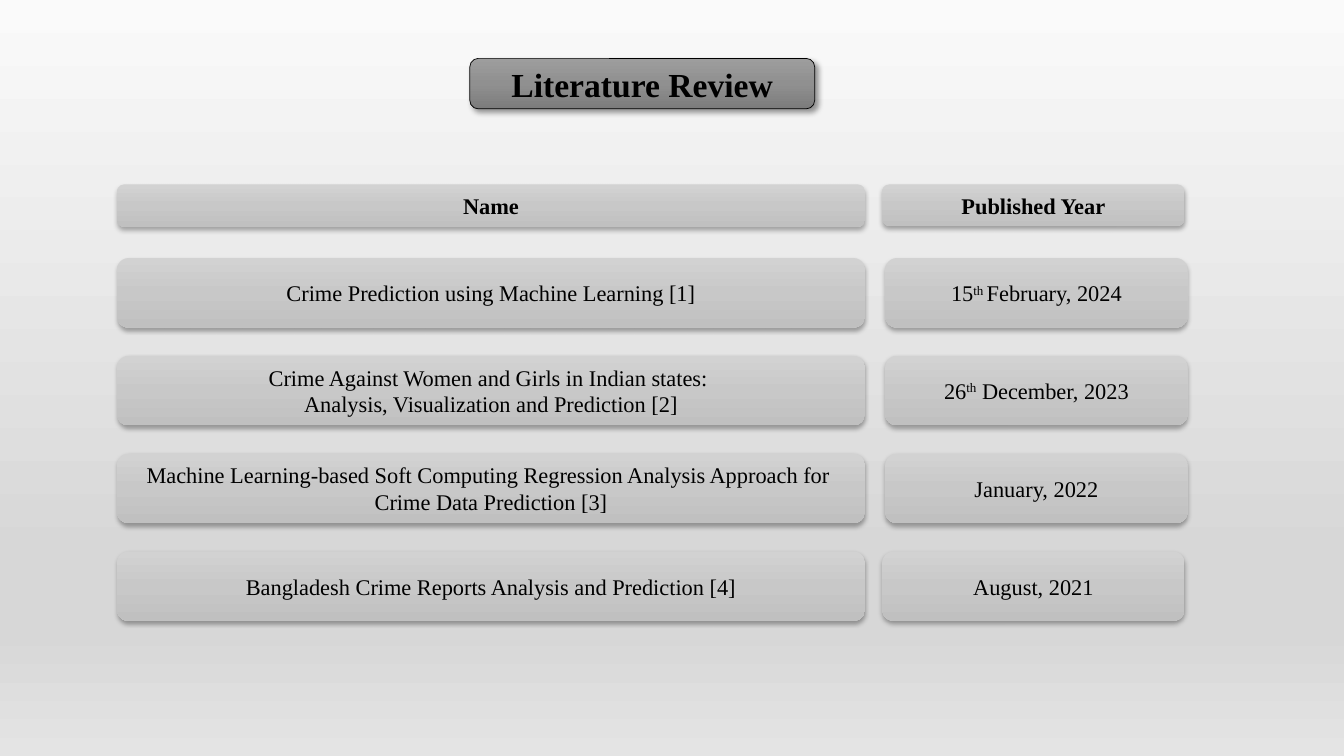
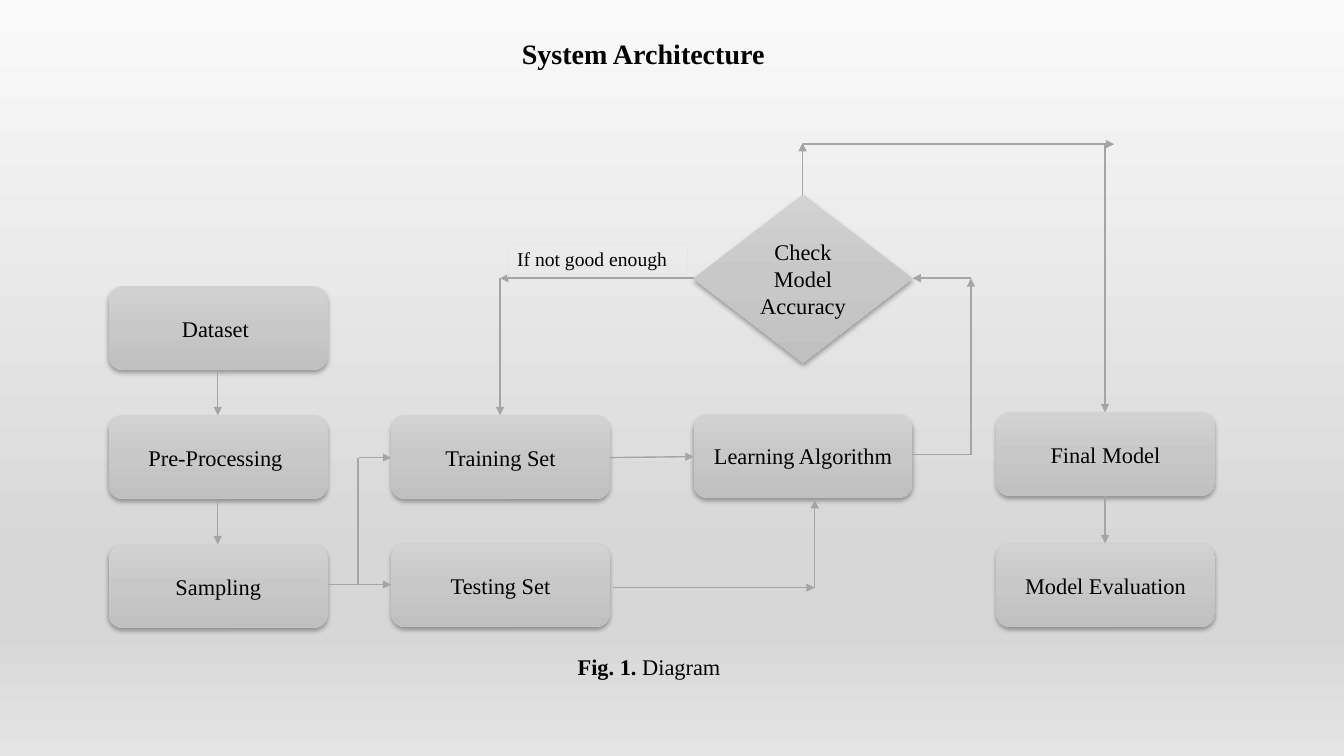
"""Build the literature review and system architecture slides."""
from pptx import Presentation
from pptx import util as u
from pptx.dml.color import RGBColor
from pptx.enum import shapes, text
from pptx.oxml import ns, xmlchemy


class Theme:
    font = "Times New Roman"
    ink = RGBColor.from_string("000000")
    wire = RGBColor.from_string("A5A5A5")
    frame = RGBColor.from_string("E7E6E6")
    back = [(0, "FAFAFA"), (74, "D7D7D7"), (83, "D7D7D7"), (100, "E4E4E4")]
    dark = [(0, "9D9D9D"), (50, "909090"), (100, "7C7C7C")]
    light = [(0, "D2D2D2"), (50, "C8C8C8"), (100, "C0C0C0")]
    soft = dict(blur=3.5, dist=2.2, turn=90, alpha=32)
    hard = dict(blur=4, dist=3, turn=45, alpha=40)
    banner, title, body, note = 24, 20, 16, 14


PX = 9144
ROUND = shapes.MSO_SHAPE.ROUNDED_RECTANGLE
DIAMOND = shapes.MSO_SHAPE.DIAMOND
CENTER, LEFT = text.PP_ALIGN.CENTER, text.PP_ALIGN.LEFT


def paint(fill, tree, stops):
    fill.gradient()
    fill.gradient_angle = 270
    ramp = tree.find(".//" + ns.qn("a:gsLst"))
    for old in list(ramp):
        ramp.remove(old)
    for spot, tint in stops:
        stop = xmlchemy.OxmlElement("a:gs")
        stop.set("pos", str(spot * 1000))
        tone = xmlchemy.OxmlElement("a:srgbClr")
        tone.set("val", tint)
        stop.append(tone)
        ramp.append(stop)


def put(slide, kind, box, words, size=Theme.body, bold=False, align=CENTER,
        stops=Theme.light, shade=Theme.soft):
    area = [n * PX for n in box]
    if kind is None:
        item = slide.shapes.add_textbox(*area)
        item.text_frame.auto_size = text.MSO_AUTO_SIZE.SHAPE_TO_FIT_TEXT
    else:
        item = slide.shapes.add_shape(kind, *area)
        paint(item.fill, item._element.spPr, stops)
        item.line.fill.background()
        item.shadow.inherit = False
        cast = xmlchemy.OxmlElement("a:outerShdw")
        cast.set("blurRad", str(u.Pt(shade["blur"])))
        cast.set("dist", str(u.Pt(shade["dist"])))
        cast.set("dir", str(shade["turn"] * 60000))
        cast.set("algn", "ctr")
        cast.set("rotWithShape", "0")
        tone = xmlchemy.OxmlElement("a:srgbClr")
        tone.set("val", "000000")
        alpha = xmlchemy.OxmlElement("a:alpha")
        alpha.set("val", str(shade["alpha"] * 1000))
        tone.append(alpha)
        cast.append(tone)
        item._element.spPr.find(ns.qn("a:effectLst")).append(cast)
        item.text_frame.vertical_anchor = text.MSO_ANCHOR.MIDDLE
    frame = item.text_frame
    frame.word_wrap = True
    for i, line in enumerate(words.split("\n")):
        para = frame.add_paragraph() if i else frame.paragraphs[0]
        para.alignment = align
        if kind is None:
            para.line_spacing = 0.9
        para.font.name, para.font.size = Theme.font, u.Pt(size)
        para.font.bold, para.font.color.rgb = bold, Theme.ink
        for j, part in enumerate(line.split("^")):
            run = para.add_run()
            run.text = part
            if j % 2:
                run._r.get_or_add_rPr().set("baseline", "30000")
    return item


deck = Presentation()
deck.slide_width, deck.slide_height = 1333 * PX, 750 * PX
master = deck.slide_master
paint(master.background.fill, master.element, Theme.back)
blank = deck.slide_layouts[6]

review = deck.slides.add_slide(blank)
banner = put(review, ROUND, (466, 58, 342, 50), "Literature Review",
             Theme.banner, True, stops=Theme.dark, shade=Theme.hard)
banner.line.color.rgb, banner.line.width = Theme.ink, u.Pt(0.5)
put(review, ROUND, (116, 183, 742, 42), "Name", bold=True)
put(review, ROUND, (875, 183, 300, 41), "Published Year", bold=True)

papers = [
    ("Crime Prediction using Machine Learning [1]", "15^th ^February, 2024", 878),
    ("Crime Against Women and Girls in Indian states: \n"
     "Analysis, Visualization and Prediction [2]", "26^th^ December, 2023", 878),
    ("Machine Learning-based Soft Computing Regression Analysis Approach for \n"
     "Crime Data Prediction [3]", "January, 2022", 878),
    ("Bangladesh Crime Reports Analysis and Prediction [4]", "August, 2021", 875),
]
for i, (name, date, left) in enumerate(papers):
    top = 256 + 97 * i
    put(review, ROUND, (116, top, 742, 69), name)
    put(review, ROUND, (left, top, 300, 69), date)

system = deck.slides.add_slide(blank)
put(system, None, (179, 35, 925, 40), "System Architecture ", Theme.title, True)

steps = [
    ("Dataset ", 108, 284), ("Pre-Processing ", 108, 412), ("Sampling", 108, 540),
    ("Training Set", 388, 412), ("Testing Set", 388, 539),
    ("Learning Algorithm", 688, 411),
    ("Final Model", 988, 409), ("Model Evaluation", 988, 539),
]
for name, left, top in steps:
    put(system, ROUND, (left, top, 217, 83), name)
put(system, DIAMOND, (688, 193, 217, 167), "Check Model Accuracy")

arrows = [
    (216, 368, 216, 412), (216, 496, 216, 540), (325, 580, 388, 580),
    (356, 454, 388, 454), (605, 454, 688, 453), (963, 451, 963, 276),
    (963, 276, 905, 276), (688, 276, 496, 276), (496, 276, 496, 412),
    (796, 193, 796, 142), (796, 143, 1105, 143), (1096, 142, 1096, 409),
    (1096, 492, 1096, 539), (608, 583, 808, 583), (808, 583, 808, 496),
]
plain = [(355, 580, 355, 454), (905, 451, 963, 451)]
for ends in arrows + plain:
    wire = system.shapes.add_connector(shapes.MSO_CONNECTOR.STRAIGHT,
                                       *[n * PX for n in ends])
    wire.line.color.rgb, wire.line.width = Theme.wire, u.Pt(1)
    if ends in arrows:
        head = xmlchemy.OxmlElement("a:tailEnd")
        head.set("type", "triangle")
        wire.line._get_or_add_ln().append(head)
    wire._element.spPr.append(xmlchemy.OxmlElement("a:effectLst"))

label = put(system, None, (503, 243, 179, 31), "If not good enough",
            Theme.note, align=LEFT)
label.line.color.rgb, label.line.width = Theme.frame, u.Pt(0.75)

figure = put(system, None, (184, 646, 925, 34), "Fig. 1. ", bold=True)
tail = figure.text_frame.paragraphs[0].add_run()
tail.text, tail.font.bold = "Diagram ", False

deck.save("out.pptx")
